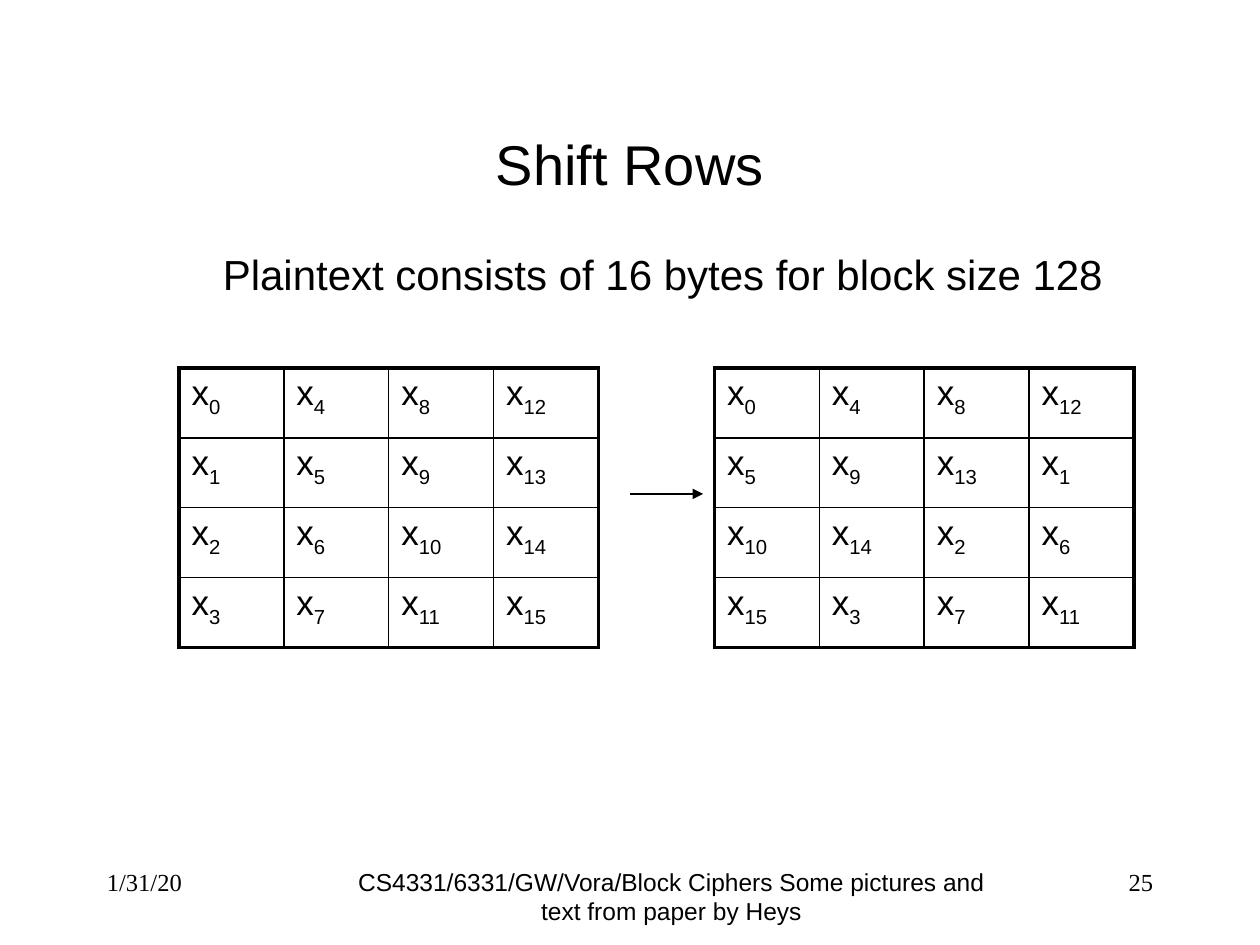
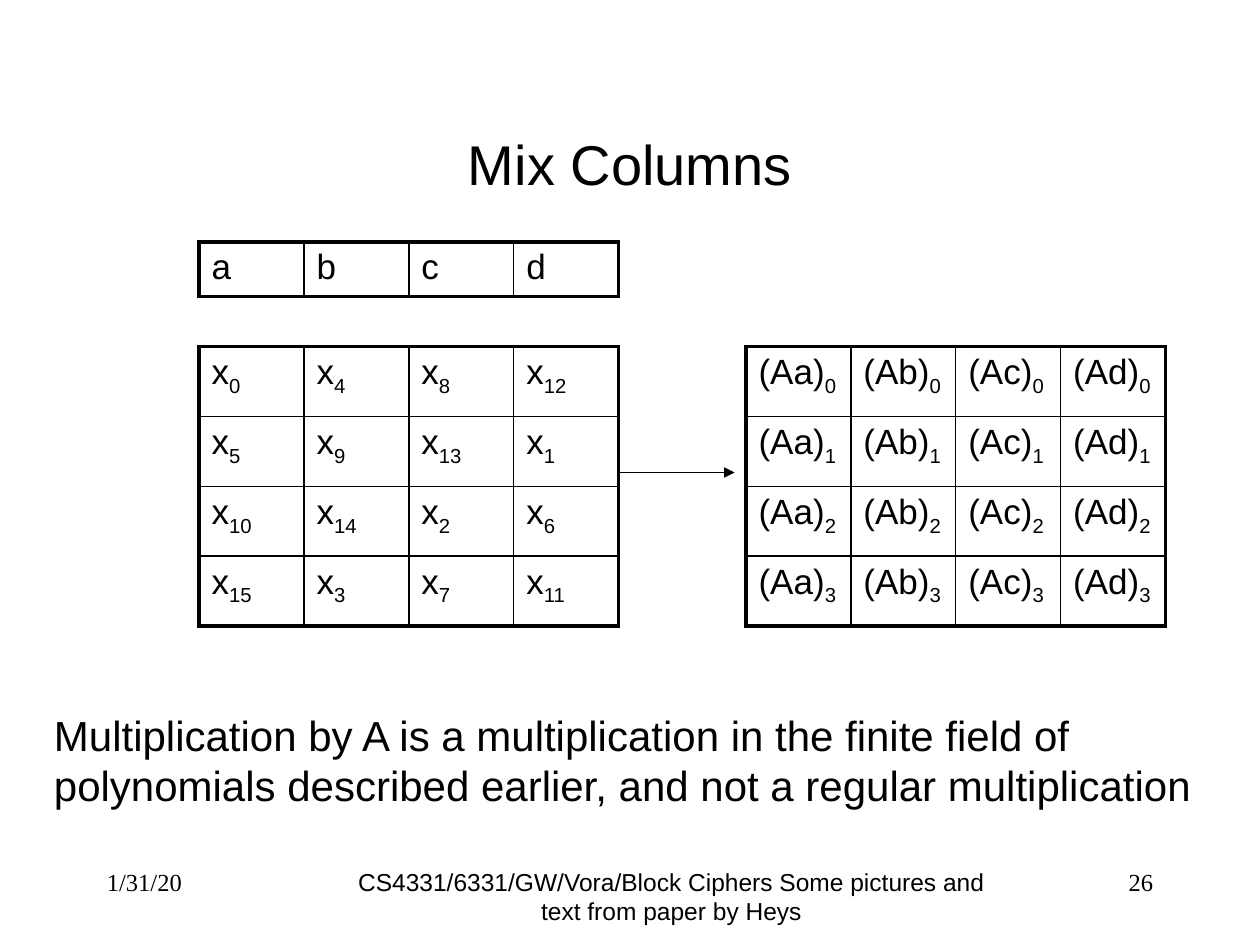
from dataclasses import dataclass

from lxml import etree
from pptx import Presentation
from pptx.dml.color import RGBColor
from pptx.enum import shapes, text
from pptx.oxml import ns
from pptx.util import Inches, Pt

LEFT, MID, RIGHT = text.PP_ALIGN.LEFT, text.PP_ALIGN.CENTER, text.PP_ALIGN.RIGHT


@dataclass(frozen=True)
class Theme:
    ink: str = "000000"
    sans: str = "Arial"
    serif: str = "Times New Roman"
    title: int = 32
    body: int = 24
    cell: int = 20
    foot: int = 14
    frame: float = 2.25
    rule: float = 1
    arrow: float = 0.75


THEME = Theme()
SIZE = 4
GRID_W, GRID_H, STRIP_H = 3.33, 2.22, 0.42


def style(para, size, face=THEME.sans, align=LEFT):
    para.alignment = align
    para.font.size = Pt(size)
    para.font.name = face
    para.font.color.rgb = RGBColor.from_string(THEME.ink)


def add_text(slide, box, words, size, face=THEME.sans, align=LEFT, wrap=True):
    frame = slide.shapes.add_textbox(*map(Inches, box)).text_frame
    frame.word_wrap = wrap
    para = frame.paragraphs[0]
    para.add_run().text = words
    style(para, size, face, align)
    return frame


def add_title(slide, words):
    frame = add_text(slide, (0.75, 0.67, 8.5, 1.25), words, THEME.title, align=MID)
    frame.vertical_anchor = text.MSO_ANCHOR.MIDDLE


def add_footer(slide, number):
    top, high = 6.83, 0.5
    add_text(slide, (0.75, top, 1.67, high), "1/31/20", THEME.foot, THEME.serif)
    add_text(slide, (2.58, top, 5.5, high),
             "CS4331/6331/GW/Vora/Block Ciphers Some pictures and text from paper by Heys",
             THEME.foot, align=MID)
    add_text(slide, (8.25, top, 1, high), str(number), THEME.foot, THEME.serif, RIGHT)


def set_edge(cell, side, width):
    props = cell._tc.get_or_add_tcPr()
    line = etree.SubElement(props, ns.qn(f"a:ln{side}"), w=str(Pt(width)))
    fill = etree.SubElement(line, ns.qn("a:solidFill"))
    etree.SubElement(fill, ns.qn("a:srgbClr"), val=THEME.ink)


def add_grid(slide, box, rows):
    """Draw rows of (base, subscript) pairs in a heavy frame with thin inner rules."""
    high, wide = len(rows), len(rows[0])
    table = slide.shapes.add_table(high, wide, *map(Inches, box)).table
    table.first_row = table.horz_banding = False
    for r, row in enumerate(rows):
        for c, (base, sub) in enumerate(row):
            cell = table.cell(r, c)
            para = cell.text_frame.paragraphs[0]
            para.add_run().text = base
            if sub != "":
                run = para.add_run()
                run.text = str(sub)
                run.font._element.set("baseline", "-25000")
            style(para, THEME.cell)
            outer = {"L": c == 0, "R": c == wide - 1, "T": r == 0, "B": r == high - 1}
            for side, heavy in outer.items():
                set_edge(cell, side, THEME.frame if heavy else THEME.rule)
            cell.fill.background()


def add_arrow(slide, start, end, y):
    line = slide.shapes.add_connector(
        shapes.MSO_CONNECTOR.STRAIGHT, *map(Inches, (start, y, end, y)))
    line.line.color.rgb = RGBColor.from_string(THEME.ink)
    line.line.width = Pt(THEME.arrow)
    etree.SubElement(line.line._get_or_add_ln(), ns.qn("a:tailEnd"), type="triangle")
    etree.SubElement(line._element.spPr, ns.qn("a:effectLst"))


def state(shift):
    """Number the bytes down the columns, turning row r left by r * shift."""
    return [[("x", r + SIZE * ((c + r * shift) % SIZE)) for c in range(SIZE)]
            for r in range(SIZE)]


def add_step(slide, left, right, top, before, after, arrow):
    """Place two grids level with each other, joined by an arrow (start, end, drop)."""
    start, end, drop = arrow
    add_grid(slide, (left, top, GRID_W, GRID_H), before)
    add_grid(slide, (right, top, GRID_W, GRID_H), after)
    add_arrow(slide, start, end, top + drop)


def shift_rows(slide):
    add_title(slide, "Shift Rows")
    add_text(slide, (1.67, 1.92, 7.26, 0.51),
             "Plaintext consists of 16 bytes for block size 128", THEME.body, wrap=False)
    add_step(slide, 1.42, 5.67, 2.92, state(0), state(1), (5, 5.58, 1))


def mix_columns(slide):
    left, keys = 1.58, "abcd"
    mixed = [[(f"(A{key})", r) for key in keys] for r in range(SIZE)]
    add_title(slide, "Mix Columns")
    add_grid(slide, (left, 1.92, GRID_W, STRIP_H), [[(key, "") for key in keys]])
    add_step(slide, left, 5.92, 2.75, state(1), mixed, (4.92, 5.83, 1))
    add_text(slide, (0.33, 5.58, 9.25, 1.3),
             "Multiplication by A is a multiplication in the finite field of "
             "polynomials described earlier, and not a regular multiplication", THEME.body)


def main():
    deck = Presentation()
    deck.slide_width, deck.slide_height = Inches(10), Inches(7.5)
    for number, build in enumerate((shift_rows, mix_columns), 25):
        slide = deck.slides.add_slide(deck.slide_layouts[6])
        build(slide)
        add_footer(slide, number)
    deck.save("out.pptx")


if __name__ == "__main__":
    main()
